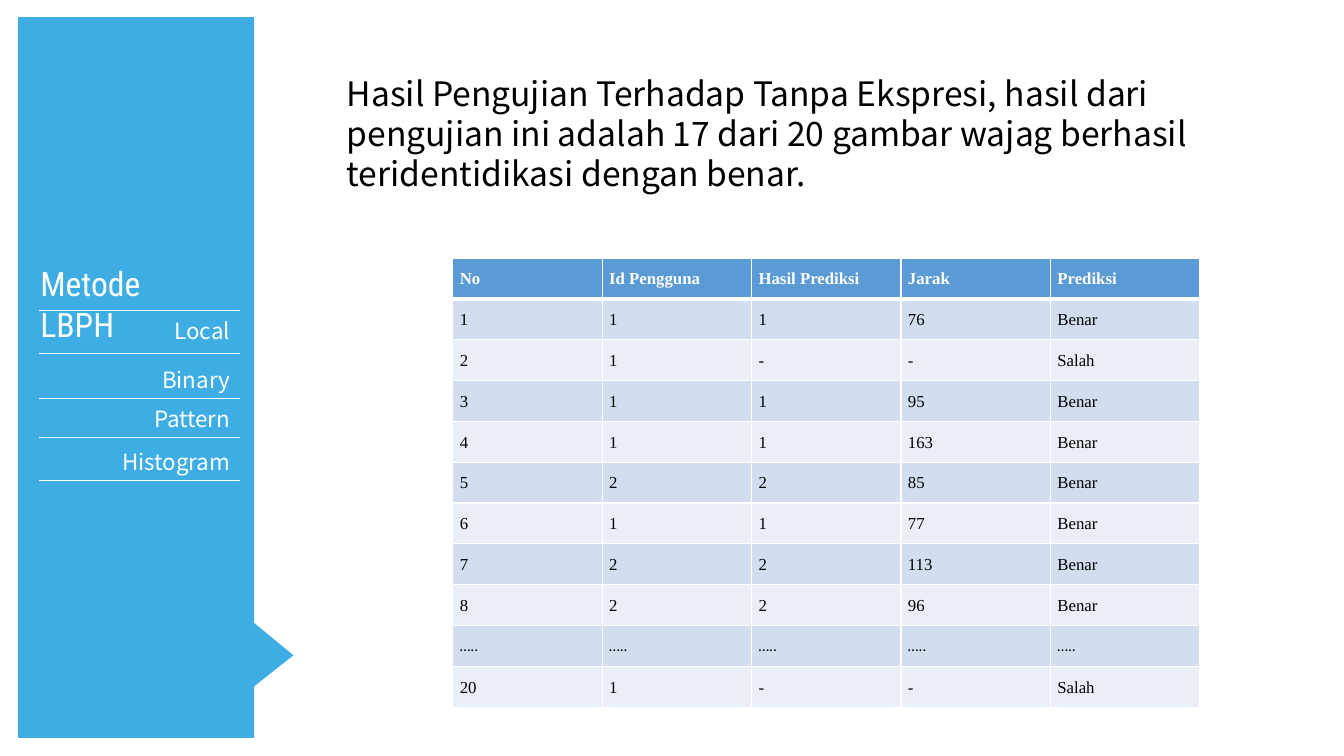
from lxml import etree
from pptx import Presentation
from pptx import util as u
from pptx.dml.color import RGBColor
from pptx.enum import shapes, text
from pptx.oxml.ns import qn

COLORS = {
    "sidebar": "3DADE4", "white": "FFFFFF", "black": "000000",
    "header": "5B9BD5", "band": "D2DEEF", "plain": "EAEFF7",
}
HEADING = {"name": "Roboto Condensed", "size": u.Pt(24), "bold": False}
LABEL = {"name": "Noto Sans CJK KR", "size": u.Pt(16)}
SUMMARY = {"name": "Noto Sans CJK KR", "size": u.Pt(24)}
CELL = {"name": "Times New Roman", "size": u.Pt(12), "bold": False}
ELLIPSIS = {"name": "Calibri", "size": u.Pt(11), "bold": False}
FRAME = {
    "word_wrap": True,
    "auto_size": text.MSO_AUTO_SIZE.SHAPE_TO_FIT_TEXT,
    "vertical_anchor": text.MSO_ANCHOR.TOP,
}
CELL_FRAME = {
    "margin_left": u.Inches(0.07), "margin_right": u.Inches(0.07),
    "margin_top": 0, "margin_bottom": 0,
    "vertical_anchor": text.MSO_ANCHOR.MIDDLE,
}
CELL_PARAGRAPH = {"line_spacing": 1.07, "space_after": u.Pt(8)}

RESULTS = [
    ("No", "Id Pengguna", "Hasil Prediksi", "Jarak", "Prediksi"),
    ("1", "1", "1", "76", "Benar"),
    ("2", "1", "-", "-", "Salah"),
    ("3", "1", "1", "95", "Benar"),
    ("4", "1", "1", "163", "Benar"),
    ("5", "2", "2", "85", "Benar"),
    ("6", "1", "1", "77", "Benar"),
    ("7", "2", "2", "113", "Benar"),
    ("8", "2", "2", "96", "Benar"),
    ("…..",) * 5,
    ("20", "1", "-", "-", "Salah"),
]
# word, left, top, height of the rule below it
METHOD_WORDS = [
    ("Local", 0.9, 3.1, 3.51),
    ("Binary", 0.39, 3.58, 3.95),
    ("Pattern", 0.55, 3.97, 4.34),
    ("Histogram", 0.55, 4.4, 4.77),
]
RULE_LEFT, RULE_RIGHT = 0.39, 2.38


def apply(target, values):
    for key, value in values.items():
        setattr(target, key, value)


def rgb(color):
    return RGBColor.from_string(COLORS[color])


class SlideBuilder:
    def __init__(self, slide):
        self.slide = slide

    def shape(self, kind, box, color):
        item = self.slide.shapes.add_shape(kind, *map(u.Inches, box))
        item.shadow.inherit = False
        item.fill.solid()
        item.fill.fore_color.rgb = rgb(color)
        item.line.fill.background()
        return item

    def fill_frame(self, frame, lines, style, color, align):
        apply(frame, FRAME)
        for index, line in enumerate(lines):
            paragraph = frame.paragraphs[0] if index == 0 else frame.add_paragraph()
            paragraph.alignment = align
            self.add_words(paragraph, line, style, color)

    def add_words(self, paragraph, words, style, color):
        run = paragraph.add_run()
        run.text = words
        apply(run.font, style)
        run.font.color.rgb = rgb(color)

    def title(self, words, box):
        """Place the title in front of the shapes drawn so far."""
        title = self.slide.shapes.title
        apply(title, dict(zip(("left", "top", "width", "height"), map(u.Inches, box))))
        self.slide.shapes._spTree.append(title._element)
        self.fill_frame(title.text_frame, [words], HEADING, "white", text.PP_ALIGN.LEFT)

    def text(self, lines, box, style, color, align):
        label = self.slide.shapes.add_textbox(*map(u.Inches, box))
        self.fill_frame(label.text_frame, lines, style, color, align)

    def rule(self, top):
        rule = self.slide.shapes.add_connector(
            shapes.MSO_CONNECTOR.STRAIGHT,
            *map(u.Inches, (RULE_LEFT, top, RULE_RIGHT, top)))
        rule.line.color.rgb = rgb("white")
        rule.line.width = u.Pt(0.5)
        etree.SubElement(rule._element.spPr, qn("a:effectLst"))

    def border(self, cell, side, points):
        line = etree.SubElement(cell._tc.get_or_add_tcPr(), qn(f"a:ln{side}"),
                                w=str(u.Pt(points)))
        fill = etree.SubElement(line, qn("a:solidFill"))
        etree.SubElement(fill, qn("a:srgbClr"), val=COLORS["white"])

    def table(self, rows, box):
        table = self.slide.shapes.add_table(
            len(rows), len(rows[0]), *map(u.Inches, box)).table
        for r, row in enumerate(rows):
            for c, value in enumerate(row):
                self.cell(table.cell(r, c), value, r)

    def cell(self, cell, value, row):
        apply(cell, CELL_FRAME)
        widths = {"L": 1, "R": 1, "T": 3 if row == 1 else 1, "B": 3 if row == 0 else 1}
        for side, points in widths.items():
            self.border(cell, side, points)
        cell.fill.solid()
        fill = "header" if row == 0 else "band" if row % 2 else "plain"
        cell.fill.fore_color.rgb = rgb(fill)
        paragraph = cell.text_frame.paragraphs[0]
        apply(paragraph, CELL_PARAGRAPH)
        style = ELLIPSIS if value == "….." else {**CELL, "bold": row == 0}
        self.add_words(paragraph, value, style, "black" if row else "white")


def main():
    deck = Presentation()
    deck.slide_width, deck.slide_height = u.Inches(13.33), u.Inches(7.5)
    builder = SlideBuilder(deck.slides.add_slide(deck.slide_layouts.get_by_name("Title Only")))

    builder.shape(shapes.MSO_SHAPE.RECTANGLE, (0.18, 0.17, 2.34, 7.15), "sidebar")
    pointer = builder.shape(
        shapes.MSO_SHAPE.ISOSCELES_TRIANGLE, (2.4, 6.3, 0.63, 0.39), "sidebar")
    pointer.rotation = 90
    pointer.adjustments[0] = 0.51

    builder.title("Metode LBPH", (0.3, 2.56, 1.98, 0.5))
    builder.rule(3.08)
    for word, left, top, rule_top in METHOD_WORDS:
        builder.text([word], (left, top, RULE_RIGHT - left, 0.37),
                     LABEL, "white", text.PP_ALIGN.RIGHT)
        builder.rule(rule_top)

    builder.table(RESULTS, (4.49, 2.56, 7.41, 4.46))
    builder.text(
        ["Hasil Pengujian Terhadap Tanpa Ekspresi, hasil dari",
         "pengujian ini adalah 17 dari 20 gambar wajag berhasil",
         "teridentidikasi dengan benar."],
        (3.34, 0.67, 9.49, 1.31), SUMMARY, "black", text.PP_ALIGN.JUSTIFY)
    deck.save("out.pptx")


if __name__ == "__main__":
    main()
